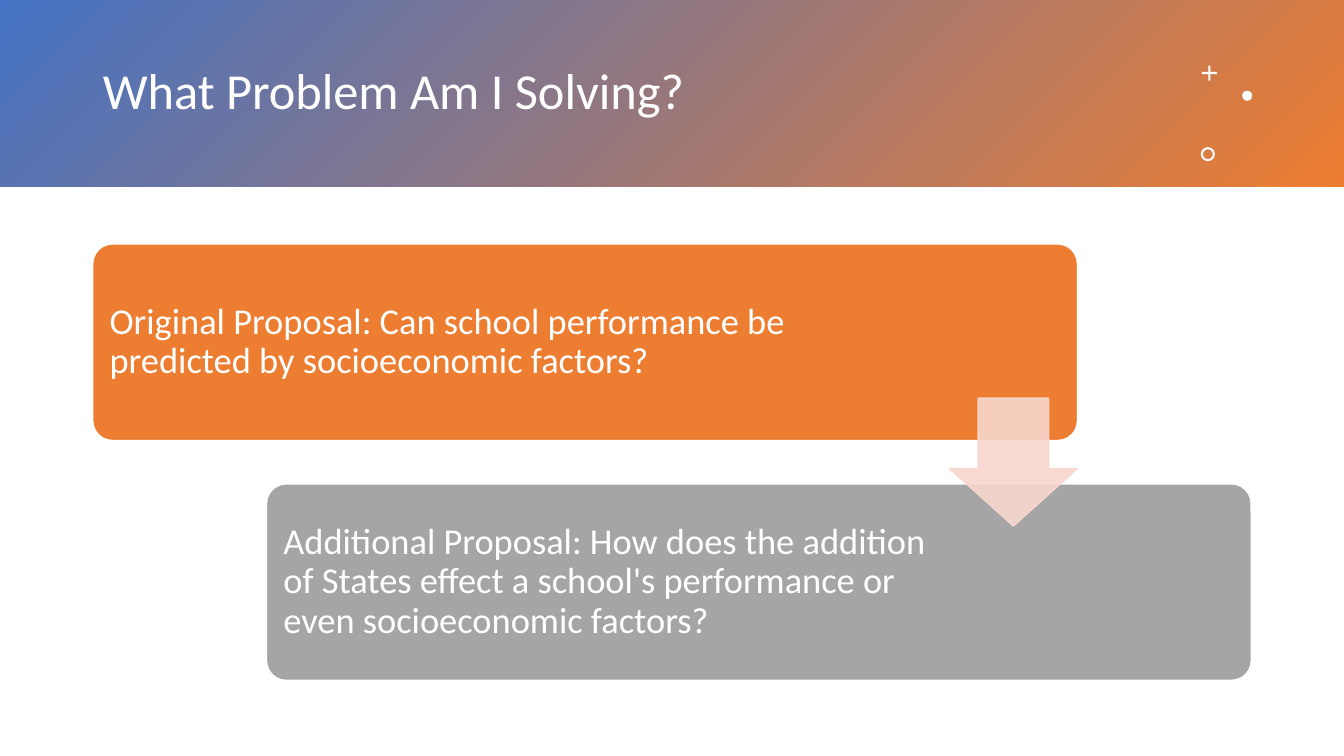
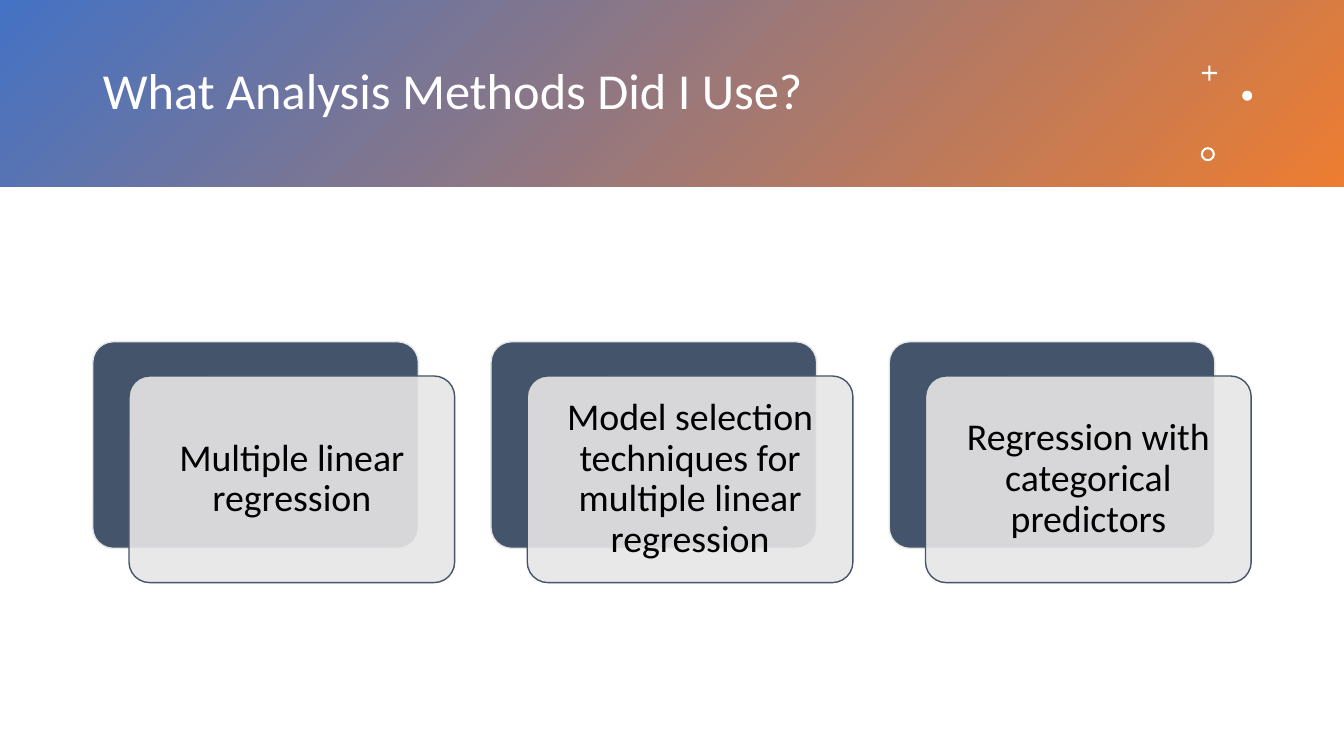
import pptx
from lxml import etree
from pptx.dml.color import RGBColor
from pptx.enum.shapes import MSO_SHAPE
from pptx.enum.text import MSO_ANCHOR, MSO_AUTO_SIZE, PP_ALIGN
from pptx.oxml.ns import qn
from pptx.util import Inches, Pt

# Content: text and the right inset that sets where it wraps
PROPOSALS_TITLE = "What Problem Am I Solving?"
PROPOSALS = [
    ("Original Proposal: Can school performance be predicted by "
     "socioeconomic factors?", 2.02),
    ("Additional Proposal: How does the addition of States effect a school's "
     "performance or even socioeconomic factors?", 3.1),
]
METHODS_TITLE = "What Analysis Methods Did I Use?"
METHODS = [
    "Multiple linear regression",
    "Model selection techniques for multiple linear regression",
    "Regression with categorical predictors",
]

# Shared style
FONT = "Calibri"
WHITE = RGBColor(0xFF, 0xFF, 0xFF)
BLACK = RGBColor(0x00, 0x00, 0x00)
BLUE = RGBColor(0x44, 0x72, 0xC4)
ORANGE = RGBColor(0xED, 0x7D, 0x31)
GRAY = RGBColor(0xA5, 0xA5, 0xA5)
PEACH = RGBColor(0xF8, 0xD7, 0xCE)
SLATE = RGBColor(0x44, 0x54, 0x6A)
PALE = RGBColor(0xE7, 0xE6, 0xE6)

SLIDE_WIDTH, SLIDE_HEIGHT = 13.33, 7.5
BAND_HEIGHT = 1.85
MARGIN = 0.92
CONTENT_WIDTH = SLIDE_WIDTH - 2 * MARGIN
INSET = 0.11
CORNER = 0.1

# Band ornaments: preset, left, top, size, adjustment
ORNAMENTS = [
    (MSO_SHAPE.CROSS, 11.92, 0.65, 0.15, 0.43),
    (MSO_SHAPE.OVAL, 12.32, 0.9, 0.1, None),
    (MSO_SHAPE.DONUT, 11.91, 1.46, 0.14, 0.15),
]


def add_shape(slide, preset, box, fill=None, line=None, adjustments=()):
    shape = slide.shapes.add_shape(preset, *map(Inches, box))
    shape.shadow.inherit = False
    for index, value in enumerate(adjustments):
        shape.adjustments[index] = value
    if fill is not None:
        shape.fill.solid()
        shape.fill.fore_color.rgb = fill
    if line is None:
        shape.line.fill.background()
    else:
        shape.line.color.rgb = line
        shape.line.width = Pt(1)
    return shape


def set_opacity(shape, percent, include_line=False):
    properties = shape.element.spPr
    fills = [properties.find(qn("a:solidFill"))]
    if include_line:
        fills.append(properties.find(qn("a:ln")).find(qn("a:solidFill")))
    for fill in fills:
        alpha = etree.SubElement(fill[0], qn("a:alpha"))
        alpha.set("val", str(percent * 1000))


def write_text(shape, text, size, color, alignment=PP_ALIGN.LEFT):
    frame = shape.text_frame
    frame.word_wrap = True
    frame.auto_size = MSO_AUTO_SIZE.NONE
    frame.vertical_anchor = MSO_ANCHOR.MIDDLE
    paragraph = frame.paragraphs[0]
    paragraph.alignment = alignment
    paragraph.line_spacing = 0.9
    run = paragraph.add_run()
    run.text = text
    run.font.name = FONT
    run.font.size = Pt(size)
    run.font.color.rgb = color


def set_insets(shape, right=INSET):
    frame = shape.text_frame
    frame.margin_left = frame.margin_top = frame.margin_bottom = Inches(INSET)
    frame.margin_right = Inches(right)


def add_titled_slide(presentation, text):
    slide = presentation.slides.add_slide(presentation.slide_layouts[5])
    title = slide.shapes.title
    title.left, title.top = Inches(MARGIN), Inches(0.33)
    title.width, title.height = Inches(10.75), Inches(1.19)
    write_text(title, text, 36, WHITE)

    # Gradient band behind the title
    band = add_shape(slide, MSO_SHAPE.RECTANGLE, (0, 0, SLIDE_WIDTH, BAND_HEIGHT))
    band.fill.gradient()
    band.fill.gradient_angle = 315
    for stop, color, position in zip(band.fill.gradient_stops, (BLUE, ORANGE), (0, 1)):
        stop.color.rgb = color
        stop.position = position
    title.element.addprevious(band.element)

    for preset, left, top, size, adjustment in ORNAMENTS:
        add_shape(slide, preset, (left, top, size, size), WHITE,
                  adjustments=() if adjustment is None else (adjustment,))
    return slide


def build_proposals(presentation):
    slide = add_titled_slide(presentation, PROPOSALS_TITLE)
    width, height = 0.85 * CONTENT_WIDTH, 1.95
    top, step = 2.42, 2.38
    indent = CONTENT_WIDTH - width
    for index, ((text, right_inset), color) in enumerate(zip(PROPOSALS, (ORANGE, GRAY))):
        box = (MARGIN + index * indent, top + index * step, width, height)
        panel = add_shape(slide, MSO_SHAPE.ROUNDED_RECTANGLE, box, color, WHITE, (CORNER,))
        set_insets(panel, right_inset)
        write_text(panel, text, 26, WHITE)

    # Arrow centred on the gap, flush with the first panel's right edge
    size = 1.27
    gap_middle = top + (height + step) / 2
    arrow = add_shape(slide, MSO_SHAPE.DOWN_ARROW,
                      (MARGIN + width - size, gap_middle - size / 2, size, size),
                      PEACH, PEACH, (0.55, 0.45))
    # The preset lists shaft width first, then head length
    set_opacity(arrow, 90, include_line=True)


def build_methods(presentation):
    slide = add_titled_slide(presentation, METHODS_TITLE)
    width, height, top = 3.23, 2.05, 3.39
    shift_x, shift_y = 0.36, 0.34
    pitch = (CONTENT_WIDTH - width - shift_x) / (len(METHODS) - 1)
    for index, text in enumerate(METHODS):
        left = MARGIN + index * pitch
        add_shape(slide, MSO_SHAPE.ROUNDED_RECTANGLE, (left, top, width, height),
                  SLATE, PALE, (CORNER,))
        card = add_shape(slide, MSO_SHAPE.ROUNDED_RECTANGLE,
                         (left + shift_x, top + shift_y, width, height),
                         PALE, SLATE, (CORNER,))
        set_opacity(card, 90)
        set_insets(card)
        write_text(card, text, 27, BLACK, PP_ALIGN.CENTER)


def main():
    presentation = pptx.Presentation()
    presentation.slide_width = Inches(SLIDE_WIDTH)
    presentation.slide_height = Inches(SLIDE_HEIGHT)
    build_proposals(presentation)
    build_methods(presentation)
    presentation.save("out.pptx")


if __name__ == "__main__":
    main()
